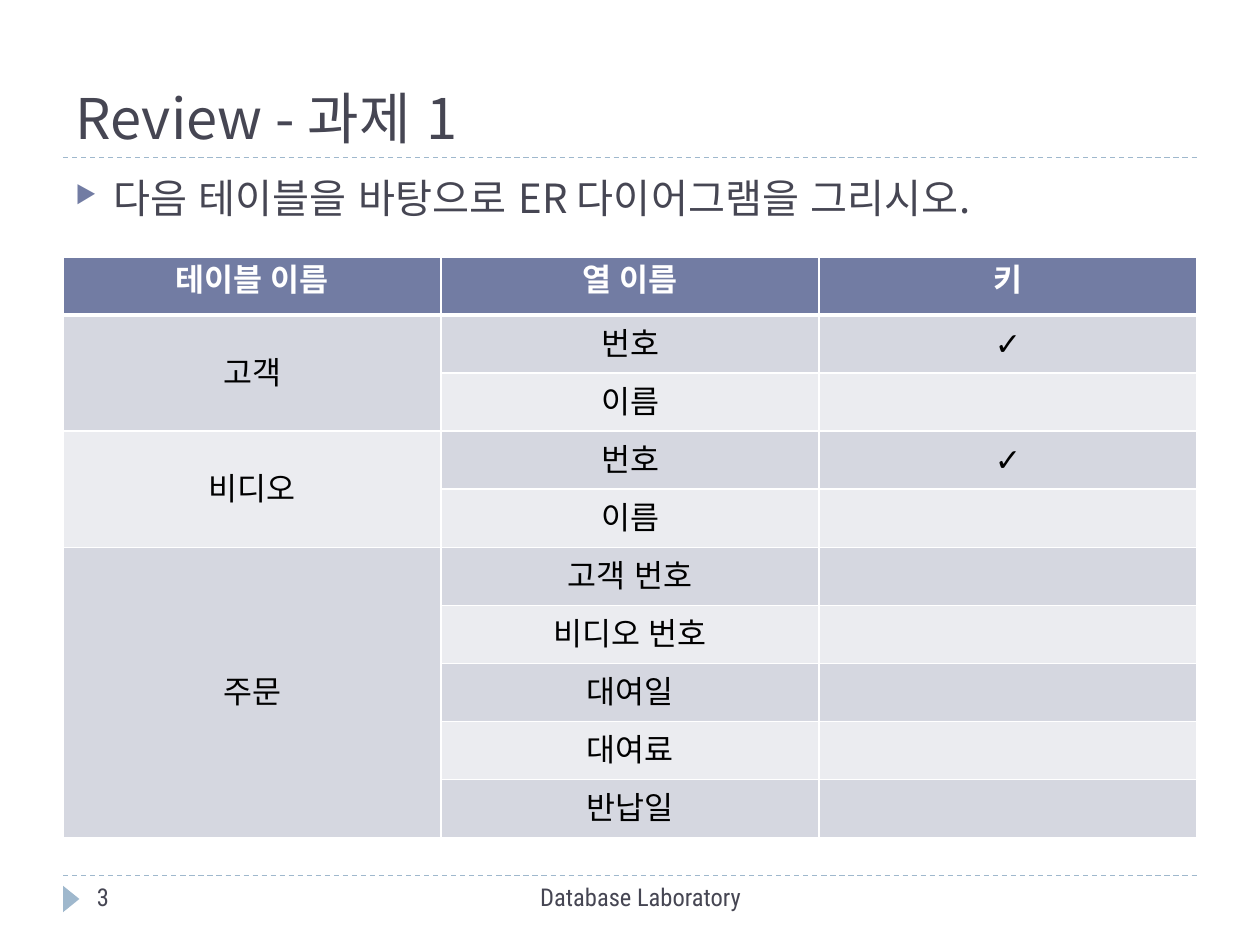
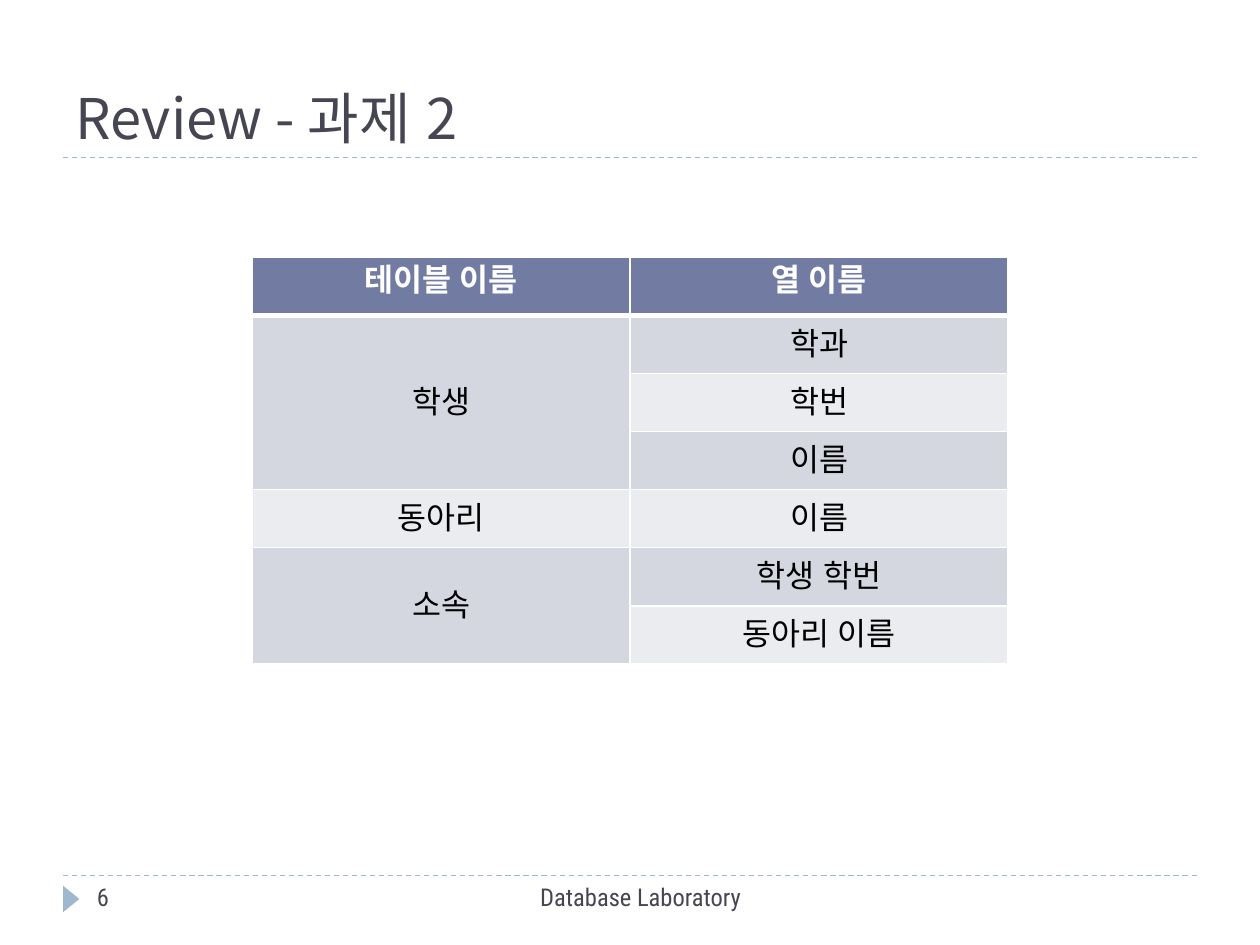
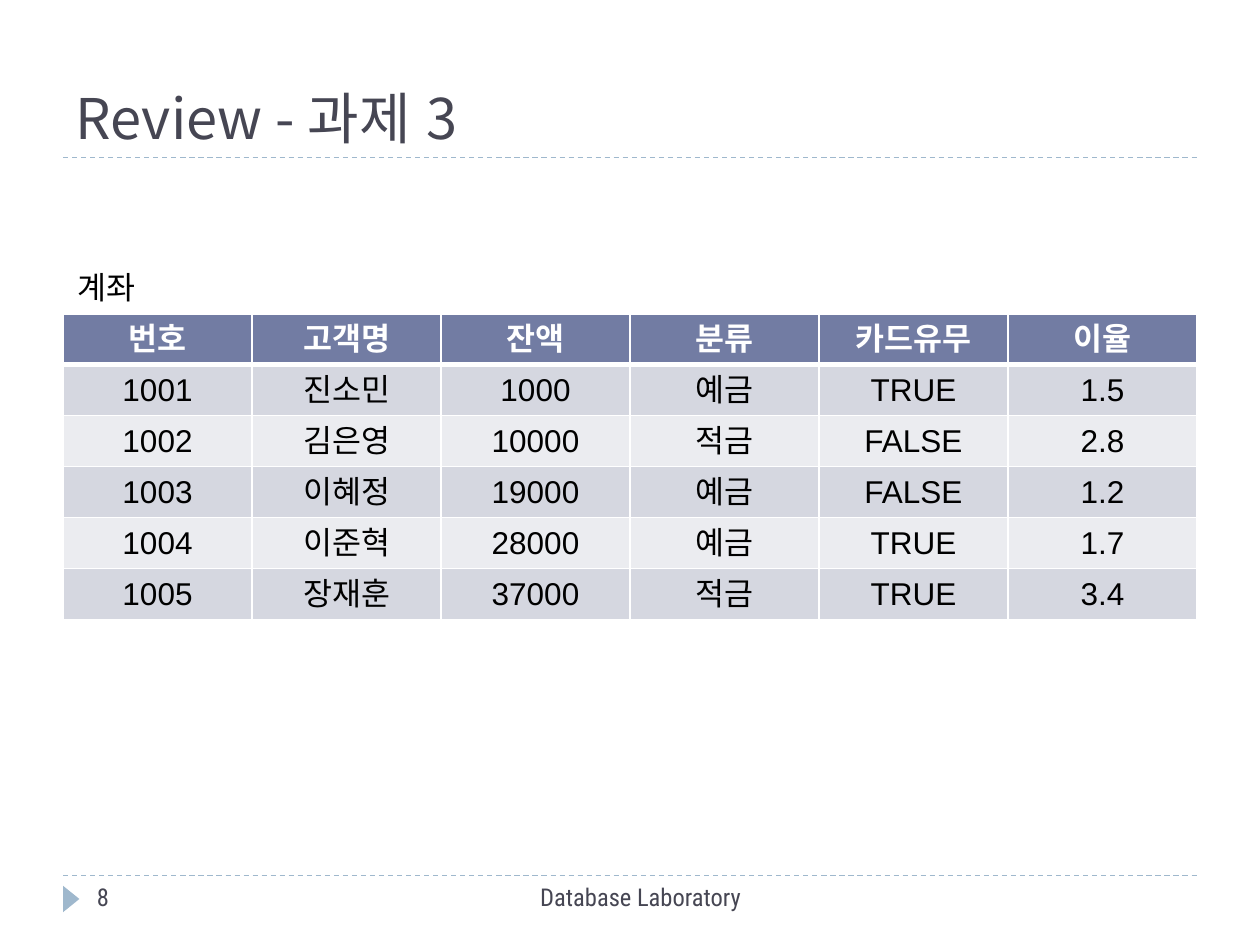
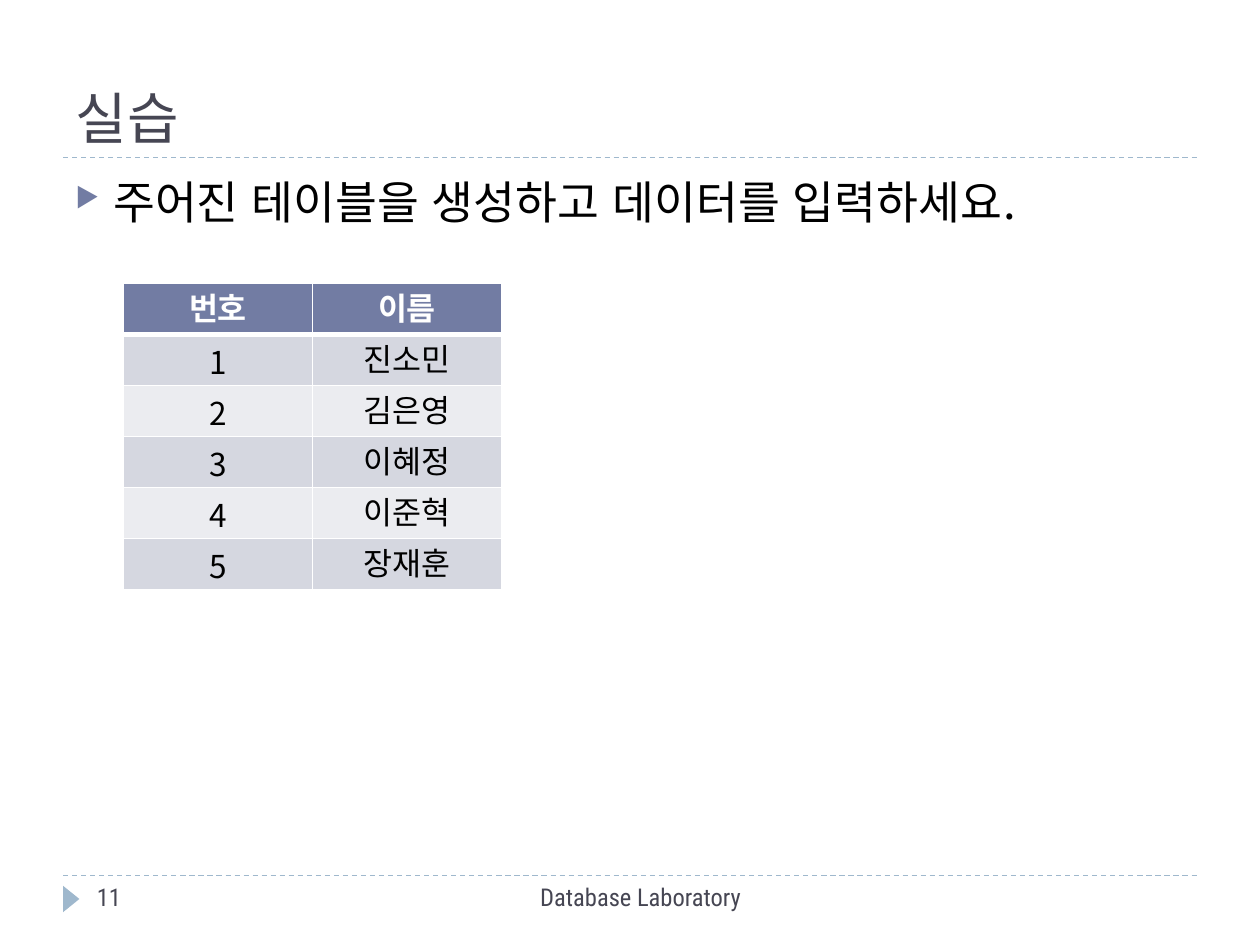
from dataclasses import dataclass

from lxml import etree
from pptx import Presentation
from pptx.dml.color import RGBColor
from pptx.enum.dml import MSO_LINE
from pptx.enum.shapes import MSO_CONNECTOR, MSO_SHAPE
from pptx.enum.text import MSO_ANCHOR, MSO_AUTO_SIZE, PP_ALIGN
from pptx.oxml.ns import qn
from pptx.slide import Slide
from pptx.table import _Cell
from pptx.text.text import TextFrame, _Paragraph
from pptx.util import Inches, Pt

DASH = MSO_LINE.DASH
STRAIGHT = MSO_CONNECTOR.STRAIGHT
TRIANGLE = MSO_SHAPE.ISOSCELES_TRIANGLE
BOTTOM, MIDDLE, TOP = MSO_ANCHOR.BOTTOM, MSO_ANCHOR.MIDDLE, MSO_ANCHOR.TOP
NO_AUTOFIT = MSO_AUTO_SIZE.NONE
LEFT, CENTER = PP_ALIGN.LEFT, PP_ALIGN.CENTER

TITLE_ONLY = 5
KOREAN, CONDENSED, ARIAL, CHECK_FONT = (
    "Noto Sans CJK KR", "Roboto Condensed", "Arial", "Cabin")
INK, BLACK, WHITE = "464653", "000000", "FFFFFF"
ACCENT, PALE_BLUE = "727CA3", "9FB8CD"
BANDS = ("D5D7E0", "EBECF0")
CHECK = "✓"
MARGIN, CONTENT_WIDTH = 0.5, 9
TITLE_RULE_Y, FOOTER_Y = 1.25, 6.95


@dataclass(frozen=True)
class TextStyle:
    size: float
    color: str = INK
    font: str = KOREAN
    bold: bool = False


@dataclass(frozen=True)
class Box:
    left: float
    top: float
    width: float
    height: float

    def lengths(self) -> list[Inches]:
        return [Inches(v) for v in (self.left, self.top, self.width, self.height)]


@dataclass(frozen=True)
class Grid:
    """A table; an empty first cell continues the group above it."""
    box: Box
    header: tuple[str, ...]
    rows: tuple[tuple[str, ...], ...]
    font: str = KOREAN
    compact: bool = False


@dataclass(frozen=True)
class Page:
    number: int
    title: str
    grid: Grid
    task: str = ""
    task_style: TextStyle = TextStyle(23)
    caption: str = ""


TITLE_STYLE = TextStyle(32)
FOOTER_STYLE = TextStyle(14, font=CONDENSED)
HEADER_STYLE = TextStyle(18, WHITE, bold=True)
CAPTION_STYLE = TextStyle(18, BLACK, ARIAL)

PAGES = (
    Page(3, "Review - 과제 1", Grid(
        Box(0.5, 2.04, 9, 4.61), ("테이블 이름", "열 이름", "키"), (
            ("고객", "번호", CHECK),
            ("", "이름", ""),
            ("비디오", "번호", CHECK),
            ("", "이름", ""),
            ("주문", "고객 번호", ""),
            ("", "비디오 번호", ""),
            ("", "대여일", ""),
            ("", "대여료", ""),
            ("", "반납일", ""),
        )), task="다음 테이블을 바탕으로 ER 다이어그램을 그리시오."),
    Page(6, "Review - 과제 2", Grid(
        Box(2, 2.04, 6, 3.23), ("테이블 이름", "열 이름"), (
            ("학생", "학과"),
            ("", "학번"),
            ("", "이름"),
            ("동아리", "이름"),
            ("소속", "학생 학번"),
            ("", "동아리 이름"),
        ))),
    Page(8, "Review - 과제 3", Grid(
        Box(0.5, 2.49, 9, 2.43),
        ("번호", "고객명", "잔액", "분류", "카드유무", "이율"), (
            ("1001", "진소민", "1000", "예금", "TRUE", "1.5"),
            ("1002", "김은영", "10000", "적금", "FALSE", "2.8"),
            ("1003", "이혜정", "19000", "예금", "FALSE", "1.2"),
            ("1004", "이준혁", "28000", "예금", "TRUE", "1.7"),
            ("1005", "장재훈", "37000", "적금", "TRUE", "3.4"),
        ), font=ARIAL, compact=True), caption="계좌"),
    Page(11, "실습", Grid(
        Box(0.98, 2.25, 3, 2.43), ("번호", "이름"), (
            ("1", "진소민"),
            ("2", "김은영"),
            ("3", "이혜정"),
            ("4", "이준혁"),
            ("5", "장재훈"),
        ), compact=True),
        task="주어진 테이블을 생성하고 데이터를 입력하세요.",
        task_style=TextStyle(26, BLACK)),
)


def rgb(color: str) -> RGBColor:
    return RGBColor.from_string(color)


def write(frame: TextFrame, text: str, style: TextStyle,
          align: PP_ALIGN = LEFT) -> None:
    frame.text = text
    paragraph = frame.paragraphs[0]
    paragraph.alignment = align
    for run in paragraph.runs:
        run.font.size = Pt(style.size)
        run.font.bold = style.bold
        run.font.color.rgb = rgb(style.color)
        run.font.name = style.font
        latin = run.font._element.find(qn("a:latin"))
        east_asian = etree.Element(qn("a:ea"), typeface=ARIAL)
        latin.addnext(east_asian)


def add_text(slide: Slide, box: Box, text: str, style: TextStyle,
             align: PP_ALIGN = LEFT, wrap: bool = True) -> TextFrame:
    frame = slide.shapes.add_textbox(*box.lengths()).text_frame
    frame.word_wrap = wrap
    write(frame, text, style, align)
    return frame


def add_bullet(paragraph: _Paragraph) -> None:
    properties = paragraph._p.get_or_add_pPr()
    properties.set("marL", str(Inches(0.3)))
    properties.set("indent", str(Inches(-0.3)))
    bullet_color = etree.SubElement(properties, qn("a:buClr"))
    etree.SubElement(bullet_color, qn("a:srgbClr"), val=ACCENT)
    etree.SubElement(properties, qn("a:buSzPct"), val="60000")
    etree.SubElement(properties, qn("a:buChar"), char="▶")


def add_rule(slide: Slide, y: float) -> None:
    rule = slide.shapes.add_connector(
        STRAIGHT, Inches(MARGIN), Inches(y),
        Inches(MARGIN + CONTENT_WIDTH), Inches(y))
    rule.line.color.rgb = rgb(PALE_BLUE)
    rule.line.width = Pt(0.75)
    rule.line.dash_style = DASH
    etree.SubElement(rule._element.spPr, qn("a:effectLst"))


def add_frame(slide: Slide, page: Page) -> None:
    """Draw the title, rules and footer shared by every slide."""
    for y in (FOOTER_Y, TITLE_RULE_Y):
        add_rule(slide, y)
    marker = slide.shapes.add_shape(TRIANGLE, *Box(0.46, 7.07, 0.21, 0.13).lengths())
    marker.rotation = 90
    marker.shadow.inherit = False
    marker.fill.solid()
    marker.fill.fore_color.rgb = rgb(PALE_BLUE)
    marker.line.fill.background()

    title = slide.shapes.title
    title.left, title.top, title.width, title.height = Box(
        MARGIN, 0.17, CONTENT_WIDTH, 1.08).lengths()
    write(title.text_frame, page.title, TITLE_STYLE)
    title.text_frame.vertical_anchor = BOTTOM
    title.text_frame.auto_size = NO_AUTOFIT

    add_text(slide, Box(3.17, FOOTER_Y, 3.83, 0.4), "Database Laboratory",
             FOOTER_STYLE, CENTER)
    add_text(slide, Box(0.67, FOOTER_Y, 2.17, 0.4), str(page.number), FOOTER_STYLE)


def set_borders(cell: _Cell, row: int) -> None:
    """Give white borders, thick between the header and the first row."""
    widths = {"a:lnL": 1, "a:lnR": 1,
              "a:lnT": 3 if row == 1 else 1, "a:lnB": 3 if row == 0 else 1}
    properties = cell._tc.get_or_add_tcPr()
    for tag, width in widths.items():
        border = etree.SubElement(properties, qn(tag), w=str(Pt(width)))
        fill = etree.SubElement(border, qn("a:solidFill"))
        etree.SubElement(fill, qn("a:srgbClr"), val=WHITE)


def fill_cell(cell: _Cell, row: int, text: str, style: TextStyle,
              fill: str, compact: bool) -> None:
    set_borders(cell, row)
    cell.fill.solid()
    cell.fill.fore_color.rgb = rgb(fill)
    cell.vertical_anchor = MIDDLE if row or compact else TOP
    if compact:
        cell.margin_left = cell.margin_right = cell.margin_top = Inches(0.01)
        cell.margin_bottom = 0
    write(cell.text_frame, text, style, CENTER)


def add_grid(slide: Slide, grid: Grid) -> None:
    row_count, column_count = len(grid.rows) + 1, len(grid.header)
    table = slide.shapes.add_table(
        row_count, column_count, *grid.box.lengths()).table

    for column, label in enumerate(grid.header):
        fill_cell(table.cell(0, column), 0, label, HEADER_STYLE, ACCENT, grid.compact)

    group_starts = []
    for row, values in enumerate(grid.rows, start=1):
        if values[0]:
            group_starts.append(row)
        for column, value in enumerate(values):
            band = row - 1 if column else len(group_starts) - 1
            font = CHECK_FONT if value == CHECK else grid.font
            fill_cell(table.cell(row, column), row, value,
                      TextStyle(18, BLACK, font), BANDS[band % 2], grid.compact)

    for start, following in zip(group_starts, group_starts[1:] + [row_count]):
        if following - start > 1:
            table.cell(start, 0).merge(table.cell(following - 1, 0))


def add_page(presentation: Presentation, page: Page) -> None:
    slide = presentation.slides.add_slide(presentation.slide_layouts[TITLE_ONLY])
    add_frame(slide, page)
    if page.task:
        task = add_text(slide, Box(MARGIN, 1.33, CONTENT_WIDTH, 5.4),
                        page.task, page.task_style)
        add_bullet(task.paragraphs[0])
    add_grid(slide, page.grid)
    if page.caption:
        add_text(slide, Box(0.52, 2.08, 0.71, 0.4), page.caption,
                 CAPTION_STYLE, wrap=False)


def main() -> None:
    presentation = Presentation()
    presentation.slide_width = Inches(10)
    presentation.slide_height = Inches(7.5)
    for page in PAGES:
        add_page(presentation, page)
    presentation.save("out.pptx")


if __name__ == "__main__":
    main()
